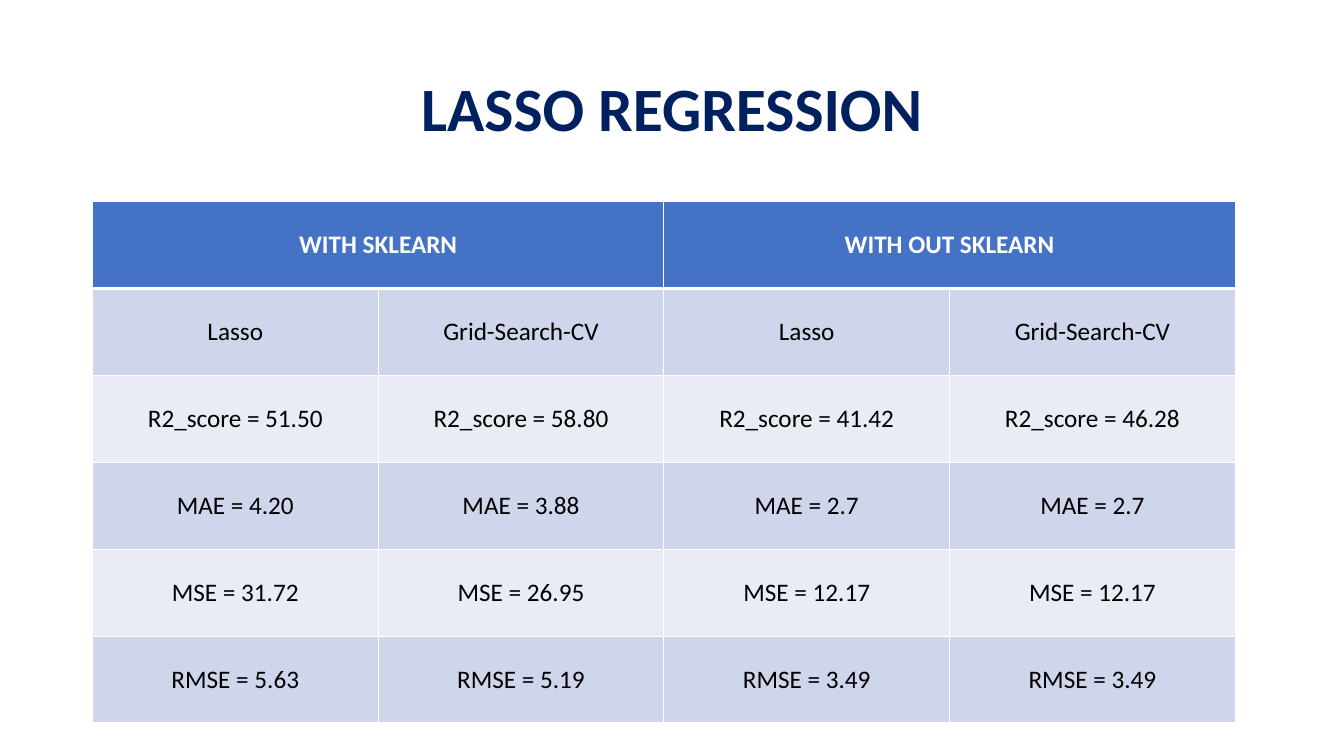
from dataclasses import dataclass

from lxml import etree
from pptx import Presentation
from pptx.dml.color import RGBColor
from pptx.enum.text import MSO_ANCHOR, MSO_AUTO_SIZE, PP_ALIGN
from pptx.oxml.ns import qn
from pptx.util import Cm, Pt

CENTER = PP_ALIGN.CENTER
MIDDLE = MSO_ANCHOR.MIDDLE
NO_FIT = MSO_AUTO_SIZE.NONE
TITLE_ONLY = 5


@dataclass(frozen=True)
class Theme:
    """Colours, font and sizes of the slide."""
    font: str = "Calibri"
    navy: str = "002060"
    blue: str = "4472C4"
    white: str = "FFFFFF"
    black: str = "000000"
    bands: tuple = ("CFD5EA", "E9EBF5")
    title: int = 44
    body: int = 18
    thin: int = 1
    thick: int = 3


def write(frame, text, *, font, size, color, bold=False, align=CENTER, space=None):
    """Put one formatted paragraph into a text frame."""
    para = frame.paragraphs[0]
    para.alignment = align
    if space:
        para.line_spacing = space
    run = para.add_run()
    run.text = text
    run.font.name = font
    run.font.size = Pt(size)
    run.font.bold = bold
    run.font.color.rgb = RGBColor.from_string(color)


def edge(cell, side, color, width):
    """Draw one border of a cell; side is L, R, T or B."""
    props = cell._tc.get_or_add_tcPr()
    line = etree.SubElement(props, qn(f"a:ln{side}"), w=str(Pt(width)))
    fill = etree.SubElement(line, qn("a:solidFill"))
    etree.SubElement(fill, qn("a:srgbClr"), val=color)


class Page:
    """Holds the theme and the current slide."""

    def __init__(self, deck, theme):
        """Add a title-only slide to the deck."""
        self.theme = theme
        self.slide = deck.slides.add_slide(deck.slide_layouts[TITLE_ONLY])

    def title(self, text, left, top, width, height):
        """Place and fill the title."""
        look = self.theme
        box = self.slide.shapes.title
        box.left, box.top, box.width, box.height = left, top, width, height
        frame = box.text_frame
        frame.word_wrap = True
        frame.auto_size = NO_FIT
        frame.vertical_anchor = MIDDLE
        write(frame, text, font=look.font, size=look.title,
              color=look.navy, bold=True, space=0.9)

    def table(self, heads, rows, left, top, wide, high):
        """Draw a banded table whose heads share the columns equally."""
        count = len(rows[0])
        span = count // len(heads)
        grid = self.slide.shapes.add_table(
            len(rows) + 1, count, left, top,
            wide * count, high * (len(rows) + 1)).table
        for col in grid.columns:
            col.width = wide
        for row in grid.rows:
            row.height = high
        for start in range(0, count, span):
            grid.cell(0, start).merge(grid.cell(0, start + span - 1))
        top_row = [""] * count
        top_row[::span] = heads
        for r, texts in enumerate([top_row, *rows]):
            for c, text in enumerate(texts):
                self.cell(grid.cell(r, c), text, r)

    def cell(self, cell, text, row):
        """Format one cell by its row and write its text."""
        look = self.theme
        head = row == 0
        for side in "LRTB":
            under = (row, side) in ((0, "B"), (1, "T"))
            edge(cell, side, look.white, look.thick if under else look.thin)
        back = look.blue if head else look.bands[(row - 1) % 2]
        cell.fill.solid()
        cell.fill.fore_color.rgb = RGBColor.from_string(back)
        cell.vertical_anchor = MIDDLE
        if text:
            write(cell.text_frame, text, font=look.font, size=look.body,
                  color=look.white if head else look.black, bold=head)


def main():
    """Build the slide and save it."""
    deck = Presentation()
    deck.slide_width, deck.slide_height = Cm(33.87), Cm(19.05)
    page = Page(deck, Theme())
    left = Cm(2.33)
    page.title("LASSO REGRESSION", left, Cm(0.97), Cm(29.21), Cm(3.68))
    scores = {
        "R2_score": ("51.50", "58.80", "41.42", "46.28"),
        "MAE": ("4.20", "3.88", "2.7", "2.7"),
        "MSE": ("31.72", "26.95", "12.17", "12.17"),
        "RMSE": ("5.63", "5.19", "3.49", "3.49"),
    }
    rows = [["Lasso", "Grid-Search-CV"] * 2]
    rows += [[f"{name} = {val}" for val in vals] for name, vals in scores.items()]
    page.table(["WITH SKLEARN", "WITH OUT SKLEARN"], rows,
               left, Cm(5.08), Cm(7.2), Cm(2.19))
    deck.save("out.pptx")


main()
